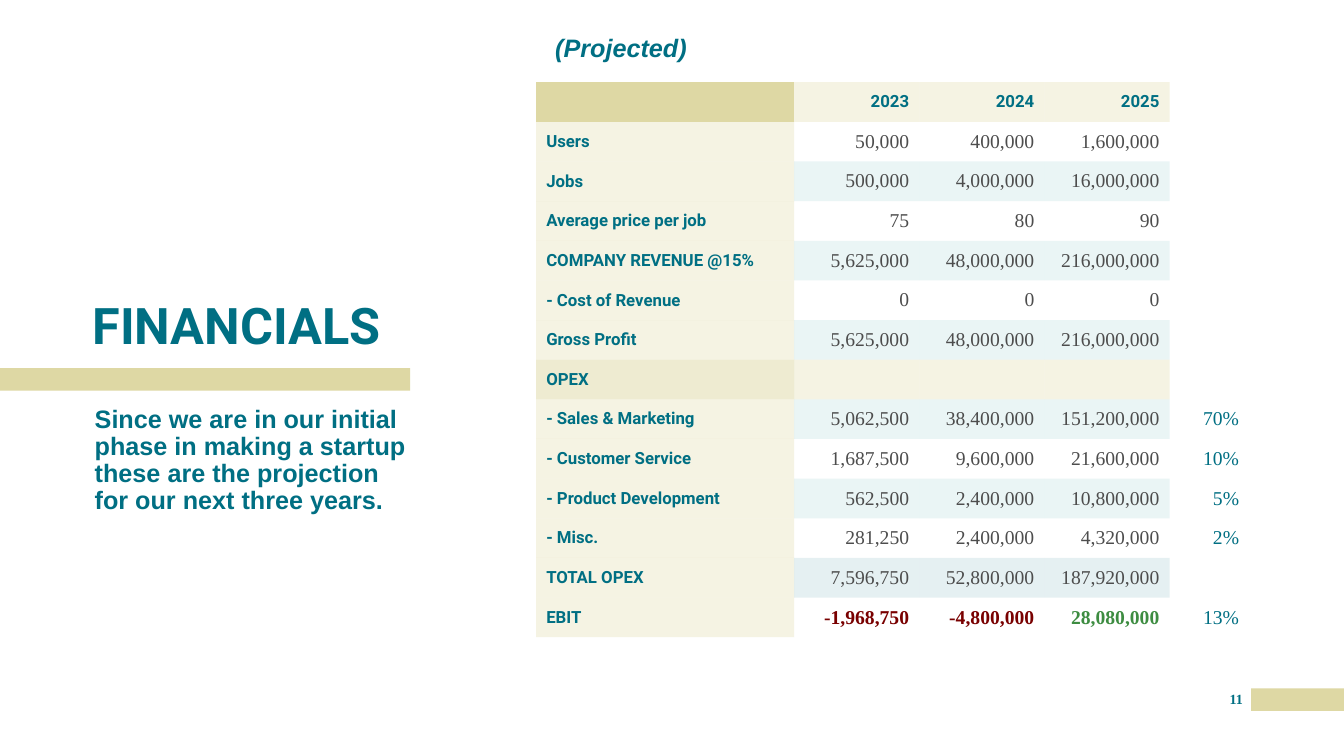
import pptx
import pptx.util
import pptx.dml.color
import pptx.enum.shapes
import pptx.enum.text
import pptx.oxml.ns
import lxml.etree

Pt = pptx.util.Pt
ALIGN = pptx.enum.text.PP_ALIGN
ANCHOR = pptx.enum.text.MSO_ANCHOR

COLORS = {"sand": "DED8A4", "teal": "006F83", "aqua": "32A1A6", "gray": "4D4D4D",
          "loss": "790000", "gain": "3D8C41"}
TITLE = "FINANCIALS"
SUMMARY = ("Since we are in our initial phase in making a startup "
           "these are the projection for our next three years.")
HEADER = ("", "2023", "2024", "2025", "")
ROWS = [
    HEADER,
    ("Users", "50,000", "400,000", "1,600,000", ""),
    ("Jobs", "500,000", "4,000,000", "16,000,000", ""),
    ("Average price per job", "75", "80", "90", ""),
    ("COMPANY REVENUE @15%", "5,625,000", "48,000,000", "216,000,000", ""),
    ("- Cost of Revenue", "0", "0", "0", ""),
    ("Gross Profit", "5,625,000", "48,000,000", "216,000,000", ""),
    ("OPEX", "", "", "", ""),
    ("- Sales & Marketing", "5,062,500", "38,400,000", "151,200,000", "70%"),
    ("- Customer Service", "1,687,500", "9,600,000", "21,600,000", "10%"),
    ("- Product Development", "562,500", "2,400,000", "10,800,000", "5%"),
    ("- Misc.", "281,250", "2,400,000", "4,320,000", "2%"),
    ("TOTAL OPEX", "7,596,750", "52,800,000", "187,920,000", ""),
    ("EBIT", "-1,968,750", "-4,800,000", "28,080,000", "13%"),
]
COL_WIDTHS = (184.3, 89.4, 89.4, 89.4, 56.9)
ROW_HEIGHT = 28.34
TABLE_LEFT, TABLE_TOP = 383, 58.7
SHARE_COL = len(HEADER) - 1
NO_STYLE = "{2D5ABB26-0587-4C30-8999-92F81FD0307C}"


def rgb(name):
    return pptx.dml.color.RGBColor.from_string(COLORS[name])


def add_run(p, text, size, font, color="teal", bold=True, italic=False):
    r = p.add_run()
    r.text = text
    r.font.size, r.font.name = Pt(size), font
    r.font.bold, r.font.italic = bold, italic
    r.font.color.rgb = rgb(color)


def add_bar(slide, left, top, width, height):
    sp = slide.shapes.add_shape(pptx.enum.shapes.MSO_SHAPE.RECTANGLE,
                                Pt(left), Pt(top), Pt(width), Pt(height))
    sp.shadow.inherit = False
    sp.fill.solid()
    sp.fill.fore_color.rgb = rgb("sand")
    sp.line.fill.background()


def add_text(slide, box, text, size, font, inset=(0, 0), anchor=ANCHOR.TOP,
             align=ALIGN.LEFT, spacing=None, before=None, italic=False):
    sp = slide.shapes.add_textbox(*(Pt(v) for v in box))
    tf = sp.text_frame
    tf.word_wrap = True
    tf.vertical_anchor = anchor
    tf.margin_left = tf.margin_right = Pt(inset[0])
    tf.margin_top = tf.margin_bottom = Pt(inset[1])
    p = tf.paragraphs[0]
    p.alignment = align
    p.line_spacing = spacing
    p.space_before = before
    add_run(p, text, size, font, italic=italic)


def cell_tint(row, col):
    """Return the colour and opacity percentage of a cell, or None for no fill."""
    label = ROWS[row][0]
    if col == SHARE_COL:
        return None
    if col == 0:
        return "sand", {"": 100, "OPEX": 50}.get(label, 30)
    if label in ("", "OPEX"):
        return "sand", 30
    if label == "TOTAL OPEX":
        return "teal", 10
    return ("aqua", 10) if row % 2 == 0 else None


def text_style(row, col):
    """Return size, font, colour and boldness of a cell's text."""
    if row == 0 or col == 0:
        return 12, "Roboto", "teal", True
    if col == SHARE_COL:
        return 14, "Times New Roman", "teal", False
    if ROWS[row][0] == "EBIT":
        color = "loss" if ROWS[row][col].startswith("-") else "gain"
        return 14, "Times New Roman", color, True
    return 14, "Times New Roman", "gray", False


def fill_cell(cell, tint):
    if tint is None:
        cell.fill.background()
        return
    color, opacity = tint
    cell.fill.solid()
    cell.fill.fore_color.rgb = rgb(color)
    if opacity < 100:
        qn = pptx.oxml.ns.qn
        clr = next(cell._tc.tcPr.iter(qn("a:srgbClr")))
        lxml.etree.SubElement(clr, qn("a:alpha")).set("val", str(opacity * 1000))


def add_financials(slide):
    frame = slide.shapes.add_table(len(ROWS), len(HEADER), Pt(TABLE_LEFT), Pt(TABLE_TOP),
                                   Pt(sum(COL_WIDTHS)), Pt(ROW_HEIGHT * len(ROWS)))
    table = frame.table
    table.first_row = table.horz_banding = False
    next(table._tbl.iter(pptx.oxml.ns.qn("a:tableStyleId"))).text = NO_STYLE
    for column, width in zip(table.columns, COL_WIDTHS):
        column.width = Pt(width)
    for i, values in enumerate(ROWS):
        table.rows[i].height = Pt(ROW_HEIGHT)
        for j, value in enumerate(values):
            cell = table.cell(i, j)
            cell.margin_top = cell.margin_bottom = 0
            cell.vertical_anchor = ANCHOR.MIDDLE
            fill_cell(cell, cell_tint(i, j))
            if value:
                p = cell.text_frame.paragraphs[0]
                p.alignment = ALIGN.RIGHT if j else ALIGN.LEFT
                add_run(p, value, *text_style(i, j))


def main():
    prs = pptx.Presentation()
    prs.slide_width, prs.slide_height = Pt(960), Pt(540)
    slide = prs.slides.add_slide(prs.slide_layouts[6])
    add_bar(slide, 893.7, 491.8, 66.3, 16)
    add_bar(slide, 0, 263, 293, 16)
    add_text(slide, (66.2, 149.8, 348.5, 104.4), TITLE, 36, "Roboto",
             anchor=ANCHOR.BOTTOM, spacing=0.9)
    add_text(slide, (67.7, 290.2, 223.2, 136.8), SUMMARY, 18, "Arial",
             spacing=0.9, before=Pt(10))
    add_financials(slide)
    add_text(slide, (872.6, 493.2, 20.9, 18), "11", 10, "Times New Roman",
             align=ALIGN.CENTER)
    add_text(slide, (389.5, 19.4, 312.5, 28.8), "(Projected)", 18, "Arial",
             inset=(7.2, 3.6), italic=True)
    prs.save("out.pptx")


if __name__ == "__main__":
    main()
